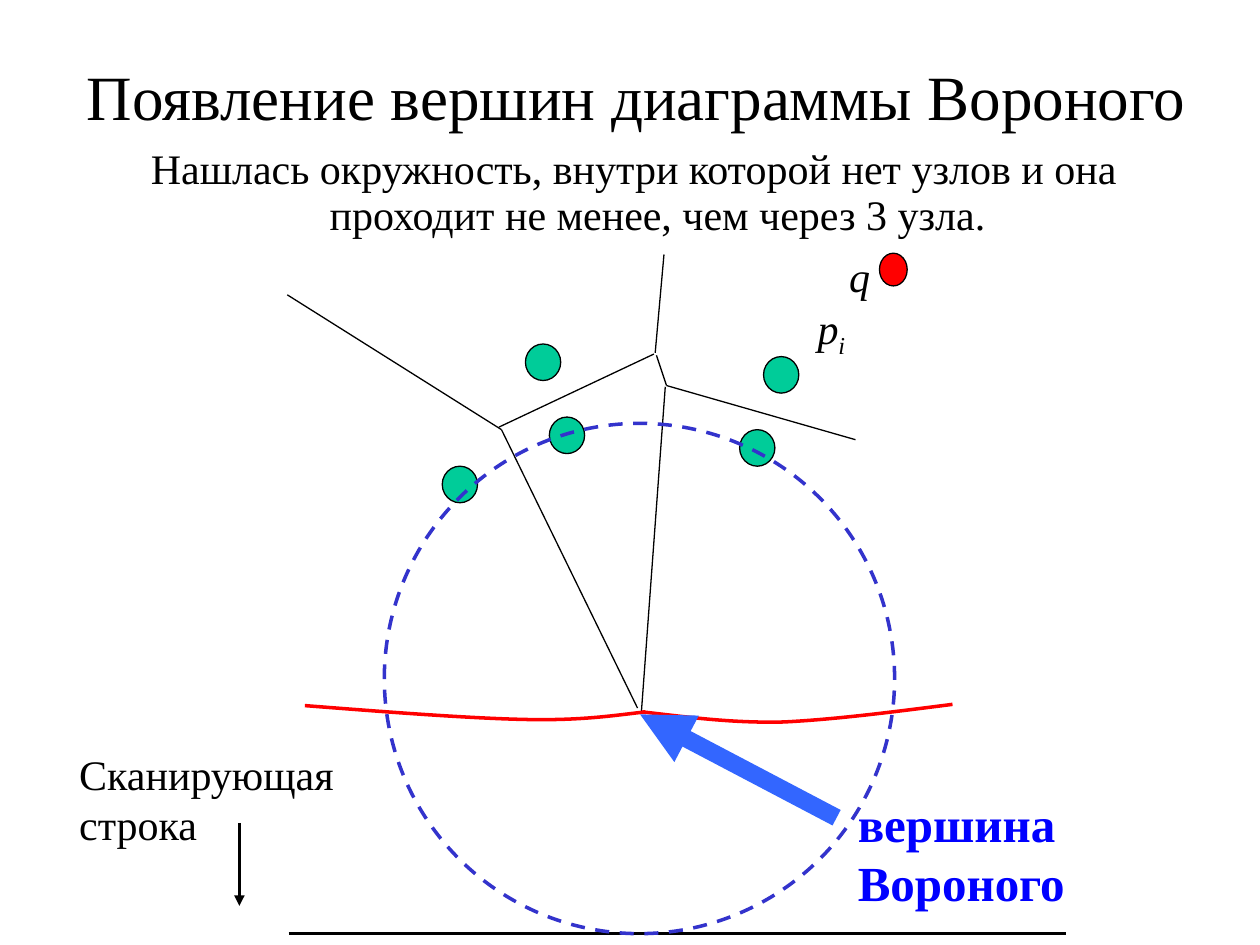
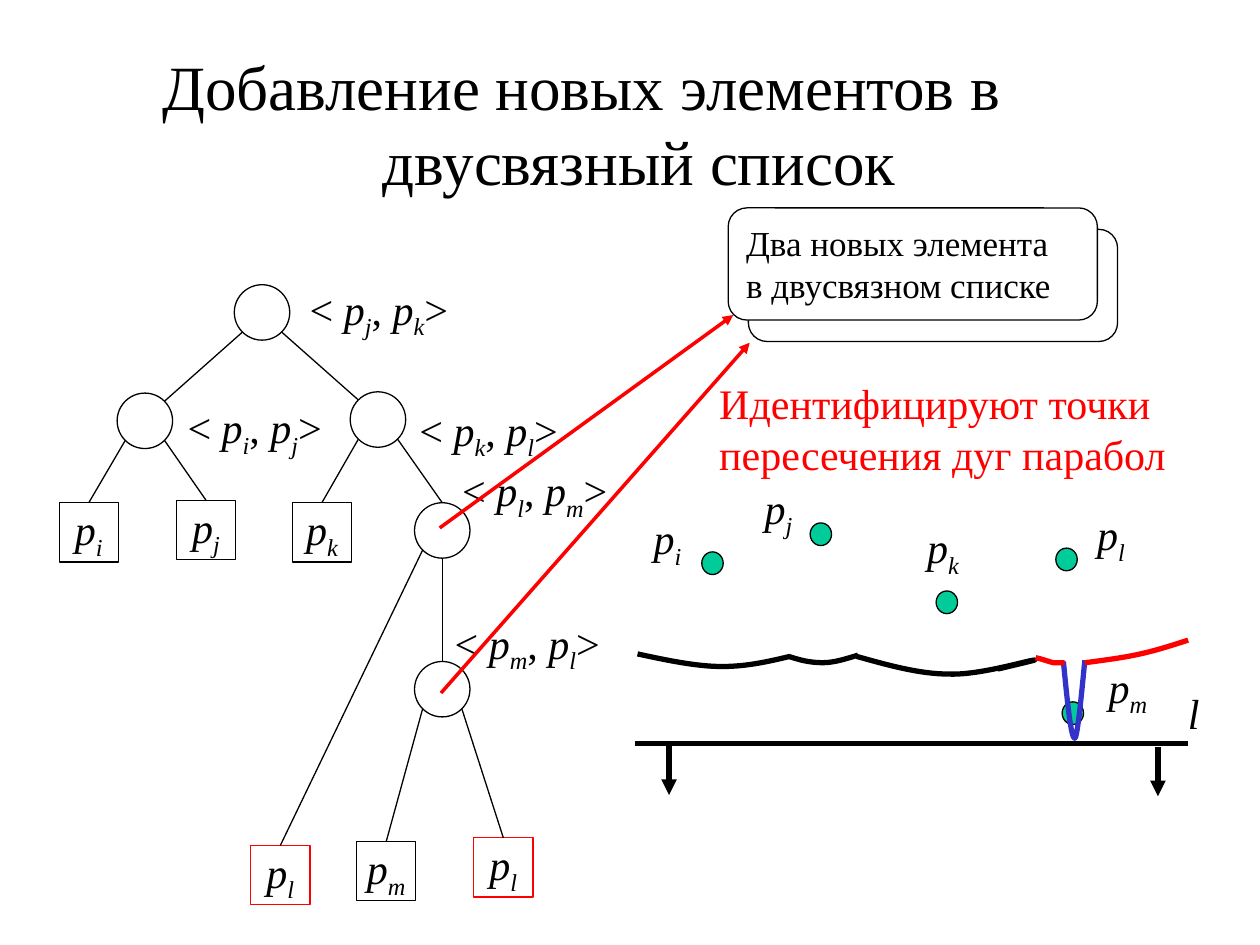
from lxml import etree
from pptx import Presentation
from pptx import util as u
from pptx.dml.color import RGBColor
from pptx.enum import dml, shapes, text
from pptx.oxml import ns

PX = u.Inches(1) // 100
FONT = "Times New Roman"
BLACK = RGBColor(0x00, 0x00, 0x00)
WHITE = RGBColor(0xFF, 0xFF, 0xFF)
RED = RGBColor(0xFF, 0x00, 0x00)
GREEN = RGBColor(0x00, 0xCC, 0x99)
INDIGO = RGBColor(0x33, 0x33, 0xCC)
AZURE = RGBColor(0x33, 0x66, 0xFF)
BLUE = RGBColor(0x00, 0x00, 0xFF)
DIAGONAL = 0.7071
OVAL = shapes.MSO_SHAPE.OVAL
SQUARE = shapes.MSO_SHAPE.RECTANGLE
CARD = shapes.MSO_SHAPE.ROUNDED_RECTANGLE


def emu(*lengths):
    return [round(length * PX) for length in lengths]


class Board:
    def __init__(self):
        self.deck = Presentation()
        self.deck.slide_width, self.deck.slide_height = emu(1000, 750)
        self.slide = None

    def new_slide(self, layout):
        self.slide = self.deck.slides.add_slide(self.deck.slide_layouts[layout])

    def style(self, paragraph, size, color=BLACK, bold=False, italic=False):
        font = paragraph.font
        font.name, font.size = FONT, u.Pt(size)
        font.bold, font.italic = bold, italic
        font.color.rgb = color

    def placeholder(self, index, box, words, size, hang=0):
        holder = self.slide.placeholders[index]
        holder.left, holder.top, holder.width, holder.height = emu(*box)
        holder.text_frame.text = words
        holder.text_frame.auto_size = text.MSO_AUTO_SIZE.NONE
        paragraph = holder.text_frame.paragraphs[0]
        paragraph.alignment = text.PP_ALIGN.CENTER
        self.style(paragraph, size)
        props = paragraph._p.get_or_add_pPr()
        props.set("marL", str(hang * PX))
        props.set("indent", str(-hang * PX))
        return paragraph

    def title(self, box, words, hang=0):
        self.placeholder(0, box, words, 36, hang)

    def body(self, box, words):
        paragraph = self.placeholder(1, box, words, 24, 38)
        paragraph.line_spacing = 0.9
        paragraph.space_before = u.Pt(4.8)
        bullet = etree.Element(ns.qn("a:buNone"))
        paragraph._p.pPr.insert_element_before(bullet, "a:tabLst", "a:defRPr", "a:extLst")

    def symbols(self, paragraph, words):
        self.style(paragraph, 24, italic=True)
        head, *tails = words.split("p_")
        if head:
            paragraph.add_run().text = head
            if tails:
                paragraph.runs[0].font.italic = False
        for tail in tails:
            paragraph.add_run().text = "p"
            index = paragraph.add_run()
            index.text = tail[0]
            index._r.get_or_add_rPr().set("baseline", "-25000")
            if tail[1:]:
                mark = paragraph.add_run()
                mark.text = tail[1:]
                mark.font.italic = False

    def textbox(self, box, wrap=False):
        frame = self.slide.shapes.add_textbox(*emu(*box)).text_frame
        frame.word_wrap = wrap
        frame.auto_size = text.MSO_AUTO_SIZE.SHAPE_TO_FIT_TEXT
        return frame

    def label(self, left, top, width, words):
        self.symbols(self.textbox((left, top, width, 50)).paragraphs[0], words)

    def caption(self, box, words, size=24, color=BLACK, bold=False, wrap=True):
        self.fill_text(self.textbox(box, wrap), words, size, color, bold)

    def fill_text(self, frame, words, size, color=BLACK, bold=False):
        frame.text = words
        for paragraph in frame.paragraphs:
            paragraph.alignment = text.PP_ALIGN.LEFT
            self.style(paragraph, size, color, bold)

    def outline(self, shape, color, width):
        shape.line.color.rgb = color
        shape.line.width = u.Pt(width)
        shape.shadow.inherit = False

    def figure(self, kind, box, fill=None, color=BLACK, width=0.75):
        shape = self.slide.shapes.add_shape(kind, *emu(*box))
        if fill is None:
            shape.fill.background()
        else:
            shape.fill.solid()
            shape.fill.fore_color.rgb = fill
        self.outline(shape, color, width)
        return shape

    def card(self, left, top, words=None):
        shape = self.figure(CARD, (left, top, 293, 89), WHITE)
        if words:
            frame = shape.text_frame
            frame.word_wrap = False
            frame.vertical_anchor = text.MSO_ANCHOR.MIDDLE
            self.fill_text(frame, words, 20)

    def leaf(self, left, top, words, color=BLACK):
        shape = self.figure(SQUARE, (left, top, 47, 47), color=color)
        frame = shape.text_frame
        frame.word_wrap = False
        frame.vertical_anchor = text.MSO_ANCHOR.MIDDLE
        frame.paragraphs[0].alignment = text.PP_ALIGN.CENTER
        self.symbols(frame.paragraphs[0], words)
        return shape

    def line(self, x1, y1, x2, y2, color=BLACK, width=0.75, arrow=False):
        link = self.slide.shapes.add_connector(
            shapes.MSO_CONNECTOR.STRAIGHT, *emu(x1, y1, x2, y2))
        link.line.color.rgb = color
        link.line.width = u.Pt(width)
        if arrow:
            etree.SubElement(link.line._get_or_add_ln(), ns.qn("a:tailEnd"), type="triangle")
        etree.SubElement(link._element.spPr, ns.qn("a:effectLst"))
        return link

    def branch(self, parent, side, child, landing=None):
        def rim(node, across, down):
            radius = node.width / 2
            return ((node.left + radius + across * radius) / PX,
                    (node.top + radius + down * radius) / PX)

        start = rim(parent, side * DIAGONAL, DIAGONAL if side else 1)
        end = rim(child, -side * DIAGONAL, -DIAGONAL)
        link = self.line(*start, *end)
        if landing is not None:
            link.end_connect(child, landing)

    def curve(self, points, color, width=3):
        start, *rest = [emu(*point) for point in points]
        builder = self.slide.shapes.build_freeform(*start, scale=1.0)
        builder.add_line_segments(rest, close=False)
        shape = builder.convert_to_shape()
        steps = list(shape._element.iter(ns.qn("a:lnTo")))
        outline = steps[0].getparent()
        for i in range(0, len(steps), 3):
            bend = etree.SubElement(outline, ns.qn("a:cubicBezTo"))
            for step in steps[i:i + 3]:
                bend.append(step[0])
                outline.remove(step)
        shape.fill.background()
        self.outline(shape, color, width)


def voronoi_vertex(board):
    board.new_slide(1)
    board.title((40, 13, 930, 125), "Появление вершин диаграммы Вороного")
    board.body((78, 113, 850, 78),
               "Нашлась окружность, внутри которой нет узлов и она "
               "проходит не менее, чем через 3 узла.")
    board.line(229, 741, 846, 741, width=2)
    board.line(190, 653, 190, 719, width=2, arrow=True)
    for edge in [(529, 306, 521, 282), (228, 234, 398, 341), (398, 341, 506, 562),
                 (509, 566, 528, 307), (396, 339, 519, 281), (529, 306, 679, 349),
                 (520, 280, 527, 202)]:
        board.line(*edge)
    for left, top in [(587, 341), (606, 283), (351, 370), (436, 331), (417, 273)]:
        board.figure(OVAL, (left, top, 28, 29), GREEN)
    board.label(639, 235, 43, "p_i")
    board.label(664, 194, 37, "q")
    board.figure(OVAL, (698, 201, 22, 26), RED)
    board.curve([(510, 565), (545, 569), (581, 574), (622, 573),
                 (663, 571), (709, 565), (756, 559)], RED, 2)
    board.curve([(242, 560), (306, 565), (371, 570), (416, 571),
                 (461, 572), (486, 568), (512, 565)], RED, 2)
    circle = board.figure(OVAL, (305, 336, 405, 405), color=INDIGO, width=2)
    circle.line.dash_style = dml.MSO_LINE.DASH
    board.caption((671, 625, 290, 104), "вершина Вороного", 28, BLUE, bold=True)
    board.line(664, 649, 508, 567, AZURE, 10, arrow=True)
    board.caption((53, 589, 225, 91), "Сканирующая строка")


def list_insertion(board):
    board.new_slide(5)
    board.title((51, 35, 821, 125), "Добавление новых элементов в двусвязный список", 92)
    board.card(594, 182)

    root, left, right, upper, lower = [
        board.figure(OVAL, (x, y, 44, 44))
        for x, y in [(186, 226), (93, 312), (278, 311), (329, 399), (329, 525)]]
    board.branch(root, -1, left)
    board.branch(root, 1, right)
    board.branch(right, 1, upper, 0)
    board.branch(upper, 0, lower, 0)
    for parent, side, x, y, site, color in [
            (left, -1, 47, 399, "p_i", BLACK), (left, 1, 140, 397, "p_j", BLACK),
            (right, -1, 232, 399, "p_k", BLACK), (upper, -1, 199, 671, "p_l", RED),
            (lower, -1, 283, 668, "p_m", BLACK), (lower, 1, 376, 665, "p_l", RED)]:
        board.branch(parent, side, board.leaf(x, y, site, color), 0)
    for x, y, width, pair in [
            (236, 220, 132, "< p_j, p_k>"), (139, 314, 128, "< p_i, p_j>"),
            (323, 316, 132, "< p_k, p_l>"), (357, 364, 138, "< p_l, p_m>"),
            (351, 485, 138, "< p_m, p_l>")]:
        board.label(x, y, width, pair)

    for x, y in [(743, 469), (838, 435), (643, 415), (557, 438), (843, 557)]:
        board.figure(OVAL, (x, y, 17, 18), GREEN)
    for x, y, width, site in [
            (509, 402, 43, "p_i"), (597, 378, 43, "p_j"), (726, 409, 47, "p_k"),
            (861, 399, 43, "p_l"), (870, 520, 53, "p_m"), (933, 541, 29, "l")]:
        board.label(x, y, width, site)

    board.card(578, 165, "Два новых элемента\nв двусвязном списке")
    board.line(349, 419, 582, 250, RED, 2, arrow=True)
    board.line(350, 550, 595, 272, RED, 2, arrow=True)
    board.caption((561, 295, 378, 91), "Идентифицируют точки\nпересечения дуг парабол",
                  color=RED, wrap=False)

    board.line(504, 590, 943, 590, width=3)
    for x, y in [(531, 592), (919, 593)]:
        board.line(x, y, x, y + 39, width=3, arrow=True)
    for points, color in [
            ([(506, 519), (529, 524), (553, 529), (573, 529),
              (593, 529), (610, 525), (627, 521)], BLACK),
            ([(626, 521), (635, 524), (643, 526), (653, 526),
              (662, 526), (671, 523), (681, 520)], BLACK),
            ([(680, 521), (705, 528), (730, 535), (753, 535), (776, 536),
              (813, 525), (820, 524), (826, 523), (809, 527), (792, 531)], BLACK),
            ([(844, 525), (847, 556), (850, 586), (853, 586),
              (855, 586), (858, 555), (861, 524)], INDIGO),
            ([(822, 522), (827, 523), (832, 525), (836, 526),
              (840, 526), (842, 526), (845, 526)], RED),
            ([(861, 526), (876, 524), (892, 522), (905, 519),
              (919, 516), (937, 510), (943, 508)], RED)]:
        board.curve(points, color)


def main():
    board = Board()
    voronoi_vertex(board)
    list_insertion(board)
    board.deck.save("out.pptx")


if __name__ == "__main__":
    main()
